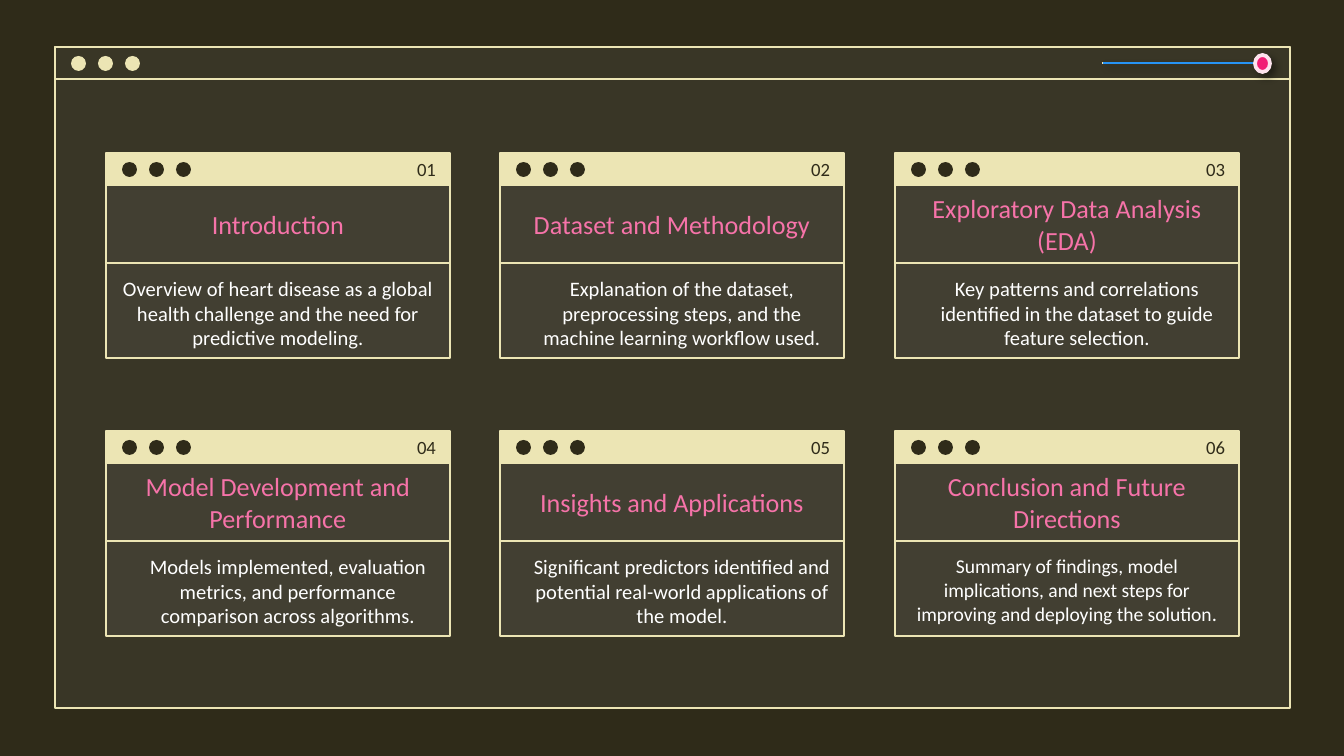
from lxml.etree import SubElement as Sub
from pptx import Presentation as Deck
from pptx.dml.color import RGBColor as Color
from pptx.enum.shapes import MSO_CONNECTOR as Link, MSO_SHAPE as Shape
from pptx.enum.text import MSO_ANCHOR as Anchor, MSO_AUTO_SIZE as Fit, PP_ALIGN as Align
from pptx.oxml.ns import qn
from pptx.util import Pt

HUES = {
    "dark": "2F2B19", "cream": "ECE5B4", "grey": "7C7C7C", "pink": "F673A9",
    "white": "FFFFFF", "blue": "2794F5", "rose": "F11E75", "blush": "FDE3EE",
}
SCALE = 914400 / 134.4
INSET = 13
CARDS = [
    ("Introduction",
     "Overview of heart disease as a global health challenge and the need for predictive modeling.",
     {}),
    ("Dataset and Methodology",
     "Explanation of the dataset, preprocessing steps, and the machine learning workflow used.",
     {"indent": 20}),
    ("Exploratory Data Analysis (EDA)",
     "Key patterns and correlations identified in the dataset to guide feature selection.",
     {"indent": 20}),
    ("Model Development and Performance",
     "Models implemented, evaluation metrics, and performance comparison across algorithms.",
     {"indent": 20}),
    ("Insights and Applications",
     "Significant predictors identified and potential real-world applications of the model.",
     {"indent": 20}),
    ("Conclusion and Future Directions",
     "Summary of findings, model implications, and next steps for improving and deploying the solution",
     {"size": 10.5, "tail": "."}),
]


def px(n):
    return round(n * SCALE)


def hue(name):
    return Color.from_string(HUES[name])


def write(shape, text, size=11, color="white", align=Align.CENTER,
          anchor=Anchor.TOP, indent=0, tail=""):
    frame = shape.text_frame
    frame.word_wrap = True
    frame.auto_size = Fit.NONE
    frame.vertical_anchor = anchor
    frame.margin_left = frame.margin_right = px(INSET)
    frame.margin_top = frame.margin_bottom = px(INSET)
    para = frame.paragraphs[0]
    para.alignment = align
    if indent:
        props = para._p.get_or_add_pPr()
        props.set("marL", str(px(indent)))
        props.set("indent", "0")
    for part, points in ((text, size), (tail, 11)):
        if part:
            run = para.add_run()
            run.text = part
            run.font.name = "Calibri"
            run.font.size = Pt(points)
            run.font.color.rgb = hue(color)


class Page:
    def __init__(self, deck):
        self.slide = deck.slides.add_slide(deck.slide_layouts[5])
        self.shapes = self.slide.shapes
        back = self.slide.background.fill
        back.solid()
        back.fore_color.rgb = hue("dark")

    def shape(self, kind, x, y, w, h, fill=None, line=None, width=0.75, alpha=None):
        item = self.shapes.add_shape(kind, px(x), px(y), px(w), px(h))
        item.shadow.inherit = False
        self.paint(item, fill, line, width)
        if alpha:
            tint = item._element.spPr.find(".//" + qn("a:srgbClr"))
            Sub(tint, qn("a:alpha"), val=str(alpha * 1000))
        return item

    def paint(self, item, fill, line, width=0.75):
        if fill:
            item.fill.solid()
            item.fill.fore_color.rgb = hue(fill)
        else:
            item.fill.background()
        if line:
            item.line.color.rgb = hue(line)
            item.line.width = Pt(width)
        else:
            item.line.fill.background()

    def box(self, *place, **style):
        return self.shape(Shape.RECTANGLE, *place, **style)

    def dot(self, *place, **style):
        return self.shape(Shape.OVAL, *place, **style)

    def dots(self, x, y, fill):
        for i in range(3):
            self.dot(x + 27 * i, y, 15, 15, fill=fill)

    def rule(self, x, y, end, color):
        line = self.shapes.add_connector(Link.STRAIGHT, px(x), px(y), px(end), px(y))
        line.line.color.rgb = hue(color)
        line.line.width = Pt(0.75)
        Sub(line._element.spPr, qn("a:effectLst"))
        return line

    def shade(self, item):
        list_ = item._element.spPr.find(qn("a:effectLst"))
        drop = Sub(list_, qn("a:outerShdw"), blurRad=str(Pt(4)), dist=str(Pt(3)),
                   dir="2700000", algn="tl", rotWithShape="0")
        tint = Sub(drop, qn("a:srgbClr"), val="000000")
        Sub(tint, qn("a:alpha"), val="40000")

    def title(self, x, y, w, h):
        item = self.shapes.title
        item.left, item.top, item.width, item.height = px(x), px(y), px(w), px(h)
        self.paint(item, None, "cream")
        self.shapes._spTree.append(item._element)
        return item

    def label(self, x, y, w, h, text, **style):
        item = self.shapes.add_textbox(px(x), px(y), px(w), px(h))
        write(item, text, **style)

    def frame(self):
        self.box(55, 48, 1234, 661, fill="grey", alpha=14)
        self.box(55, 47, 1235, 661, line="cream")
        self.box(55, 47, 1235, 32, line="cream")
        self.dots(71, 56, "cream")
        self.dot(1255, 56, 15, 15, line="cream")
        self.rule(1102, 63, 1255, "cream")

    def card(self, x, y, num, head, body, style):
        self.box(x, y, 344, 204, fill="grey", alpha=14)
        self.box(x, y, 344, 32, fill="cream", line="cream")
        self.dots(x + 16, y + 9, "dark")
        place = (x, y + 32, 344, 78)
        top = self.title(*place) if num == 1 else self.box(*place, line="cream")
        write(top, head, size=14, color="pink", anchor=Anchor.MIDDLE)
        write(self.box(x, y + 110, 344, 95, line="cream"), body, **style)
        self.label(x + 156, y, 187, 32, f"{num:02}", size=10, color="dark",
                   align=Align.RIGHT, anchor=Anchor.MIDDLE)

    def slider(self):
        self.shade(self.rule(1103, 63, 1255, "blue"))
        self.shade(self.dot(1255, 55, 15, 17, fill="rose", line="blush", width=2))


def main():
    deck = Deck()
    deck.slide_width, deck.slide_height = px(1344), px(756)
    page = Page(deck)
    page.frame()
    for i, (head, body, style) in enumerate(CARDS):
        row, col = divmod(i, 3)
        page.card(106 + 789 * col // 2, 153 + 278 * row, i + 1, head, body, style)
    page.slider()
    deck.save("out.pptx")


if __name__ == "__main__":
    main()
